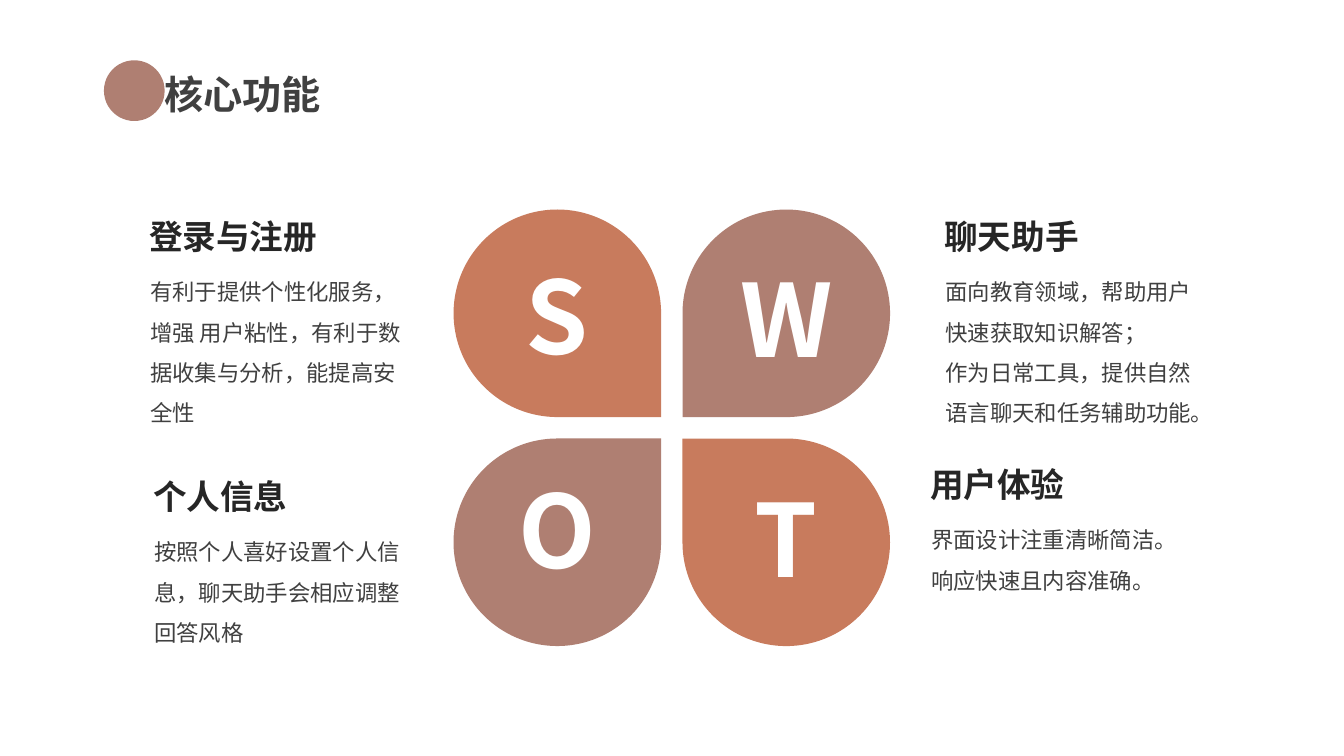
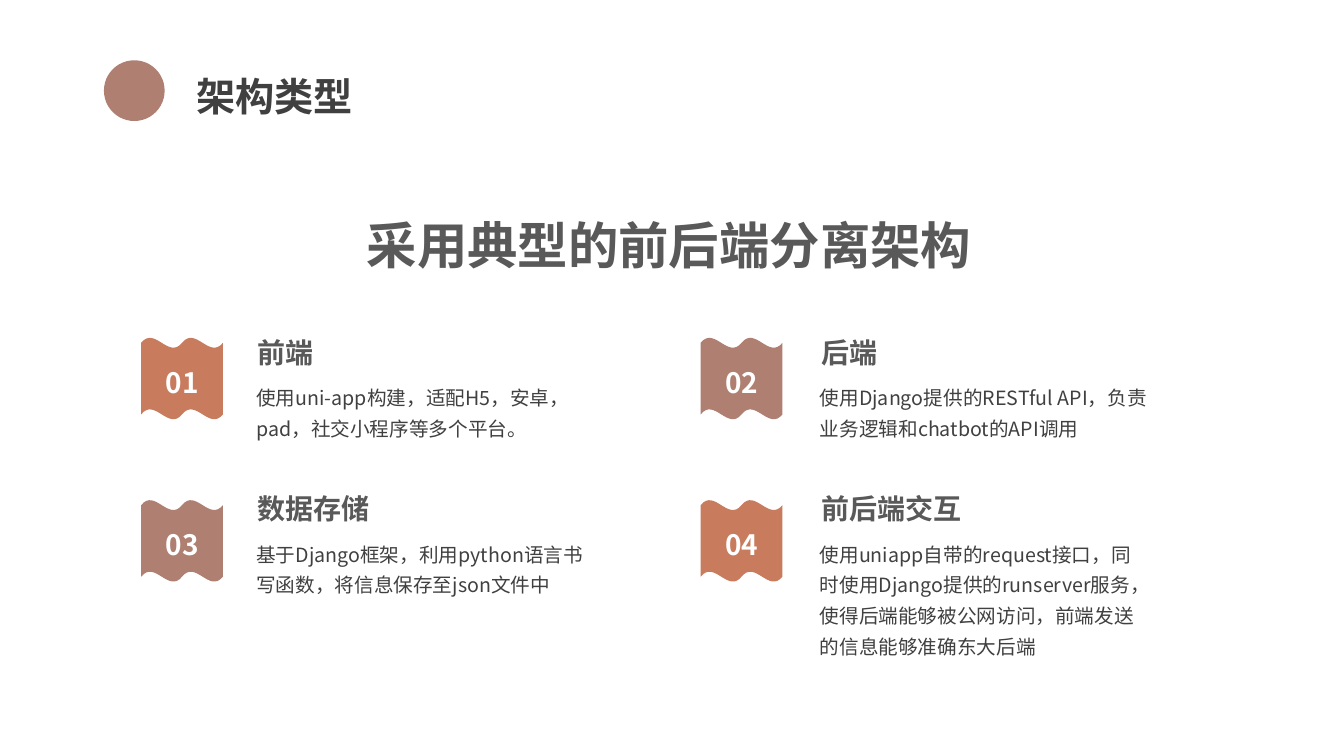
from dataclasses import dataclass

import pptx
import pptx.dml.color
import pptx.enum.shapes
import pptx.enum.text
import pptx.oxml.ns
import pptx.util
from lxml import etree

Cm = pptx.util.Cm
Pt = pptx.util.Pt
ALIGN = pptx.enum.text.PP_ALIGN
ANCHOR = pptx.enum.text.MSO_ANCHOR
AUTO_SIZE = pptx.enum.text.MSO_AUTO_SIZE
SHAPE = pptx.enum.shapes.MSO_SHAPE


@dataclass(frozen=True)
class Theme:
    font: str = "Noto Sans CJK SC"
    # Colours
    mauve: str = "AF7F72"
    orange: str = "C87B5D"
    white: str = "FFFFFF"
    black: str = "262626"
    dark: str = "404040"
    grey: str = "595959"
    # Type sizes in points
    letter: int = 72
    statement: int = 36
    title: int = 28
    heading: int = 24
    item: int = 20
    body: int = 16
    detail: int = 14


THEME = Theme()


# Building blocks
def rgb(colour):
    return pptx.dml.color.RGBColor.from_string(colour)


def write_text(shape, text, *, size, colour, bold=False, align=ALIGN.LEFT,
               anchor=ANCHOR.TOP, spacing=None, inset=True, grow=False):
    """Fill a shape with text, one paragraph for each line."""
    frame = shape.text_frame
    frame.word_wrap = True
    frame.auto_size = AUTO_SIZE.SHAPE_TO_FIT_TEXT if grow else AUTO_SIZE.NONE
    frame.vertical_anchor = anchor
    if not inset:
        frame.margin_left = frame.margin_right = 0
        frame.margin_top = frame.margin_bottom = 0
    for index, line in enumerate(text.split("\n")):
        paragraph = frame.add_paragraph() if index else frame.paragraphs[0]
        paragraph.alignment = align
        paragraph.space_before = Pt(0)
        if spacing:
            paragraph.line_spacing = spacing
        run = paragraph.add_run()
        run.text = line
        run.font.size = Pt(size)
        run.font.bold = bold
        run.font.name = THEME.font
        run.font.color.rgb = rgb(colour)
        # East Asian typeface
        properties = run._r.get_or_add_rPr()
        etree.SubElement(properties, pptx.oxml.ns.qn("a:ea"), typeface=THEME.font)


def add_text(slide, left, top, width, height, text, **text_format):
    box = slide.shapes.add_textbox(Cm(left), Cm(top), Cm(width), Cm(height))
    write_text(box, text, **text_format)


def add_filled_shape(slide, kind, left, top, side, colour):
    shape = slide.shapes.add_shape(kind, Cm(left), Cm(top), Cm(side), Cm(side))
    shape.shadow.inherit = False
    shape.fill.solid()
    shape.fill.fore_color.rgb = rgb(colour)
    shape.line.fill.background()
    return shape


def add_titled_slide(presentation, title, left, top):
    """Add a slide with the round marker and its title."""
    slide = presentation.slides.add_slide(presentation.slide_layouts[5])
    add_filled_shape(slide, SHAPE.OVAL, 2.62, 1.52, 1.53, THEME.mauve)
    placeholder = slide.shapes.title
    placeholder.left, placeholder.top = Cm(left), Cm(top)
    placeholder.width, placeholder.height = Cm(7.37), Cm(1.52)
    write_text(placeholder, title, size=THEME.title, colour=THEME.dark,
               bold=True, anchor=ANCHOR.BOTTOM, spacing=Pt(25))
    return slide


def add_petal(slide, column, row, rotation, colour, letter, letter_drop):
    """Add a teardrop whose point faces the centre, with its letter."""
    side, pitch = 5.23, 5.77
    left, top = 11.43 + column * pitch, 5.28 + row * pitch
    petal = add_filled_shape(slide, SHAPE.TEAR, left, top, side, colour)
    petal.rotation = rotation
    add_text(slide, left, top + letter_drop, side, 3.33, letter,
             size=THEME.letter, colour=THEME.white, bold=True,
             align=ALIGN.CENTER, anchor=ANCHOR.MIDDLE)


def add_feature(slide, left, top, width, line_count, heading, body):
    add_text(slide, left, top, 4.24, 1.02, heading, size=THEME.heading,
             colour=THEME.black, bold=True, inset=False, grow=True)
    add_text(slide, left + 0.03, top + 1.24, width, line_count * 1.03, body,
             size=THEME.body, colour=THEME.dark, spacing=1.5,
             inset=False, grow=True)


def add_layer(slide, index, colour, line_count, heading, body):
    """Add a numbered wave badge with heading and details on a 2 x 2 grid."""
    row, column = divmod(index, 2)
    left, top = 3.56 + column * 14.1, 8.51 + row * 4.09
    text_left = 6.46 + column * 14.2
    add_filled_shape(slide, SHAPE.DOUBLE_WAVE, left, top, 2.06, colour)
    add_text(slide, left, top + 0.4, 2.06, 1.27, f"{index + 1:02}",
             size=THEME.item, colour=THEME.white, bold=True,
             align=ALIGN.CENTER, spacing=1.2, grow=True)
    add_text(slide, text_left - 0.21, 8.33 + row * 3.93, 5.2, 1.12, heading,
             size=THEME.item, colour=THEME.grey, bold=True, grow=True)
    add_text(slide, text_left, 9.55 + row * 3.95, 8.33, line_count * 0.78, body,
             size=THEME.detail, colour=THEME.dark, spacing=1.3,
             inset=False, grow=True)


# Slides
def build_features(presentation):
    slide = add_titled_slide(presentation, "核心功能", 3.89, 1.56)
    petals = [
        (0, 0, 90, THEME.orange, "S", 0.97),
        (1, 0, 180, THEME.mauve, "W", 1.04),
        (0, 1, 0, THEME.mauve, "O", 0.59),
        (1, 1, 270, THEME.orange, "T", 0.82),
    ]
    for petal in petals:
        add_petal(slide, *petal)

    features = [
        (3.76, 5.44, 6.45, 4, "登录与注册",
         "有利于提供个性化服务，增强 用户粘性，有利于数据收集与分析，能提高安全性"),
        (3.86, 11.99, 6.65, 3, "个人信息",
         "按照个人喜好设置个人信息，聊天助手会相应调整回答风格"),
        (23.8, 5.44, 6.27, 4, "聊天助手",
         "面向教育领域，帮助用户快速获取知识解答；\n"
         "作为日常工具，提供自然语言聊天和任务辅助功能。"),
        (23.44, 11.69, 6.27, 2, "用户体验",
         "界面设计注重清晰简洁。\n响应快速且内容准确。"),
    ]
    for feature in features:
        add_feature(slide, *feature)


def build_architecture(presentation):
    slide = add_titled_slide(presentation, "架构类型", 4.7, 1.62)
    add_text(slide, 8.86, 5.28, 16, 2.41, "采用典型的前后端分离架构",
             size=THEME.statement, colour=THEME.grey, bold=True,
             align=ALIGN.CENTER)
    layers = [
        (THEME.orange, 2, "前端",
         "使用uni-app构建，适配H5，安卓，pad，社交小程序等多个平台。"),
        (THEME.mauve, 2, "后端",
         "使用Django提供的RESTful API，负责业务逻辑和chatbot的API调用"),
        (THEME.mauve, 2, "数据存储",
         "基于Django框架，利用python语言书写函数，将信息保存至json文件中"),
        (THEME.orange, 4, "前后端交互",
         "使用uniapp自带的request接口，同时使用Django提供的runserver服务，"
         "使得后端能够被公网访问，前端发送的信息能够准确东大后端"),
    ]
    for index, layer in enumerate(layers):
        add_layer(slide, index, *layer)


def main():
    presentation = pptx.Presentation()
    presentation.slide_width = Cm(33.87)
    presentation.slide_height = Cm(19.05)
    build_features(presentation)
    build_architecture(presentation)
    presentation.save("out.pptx")


if __name__ == "__main__":
    main()
